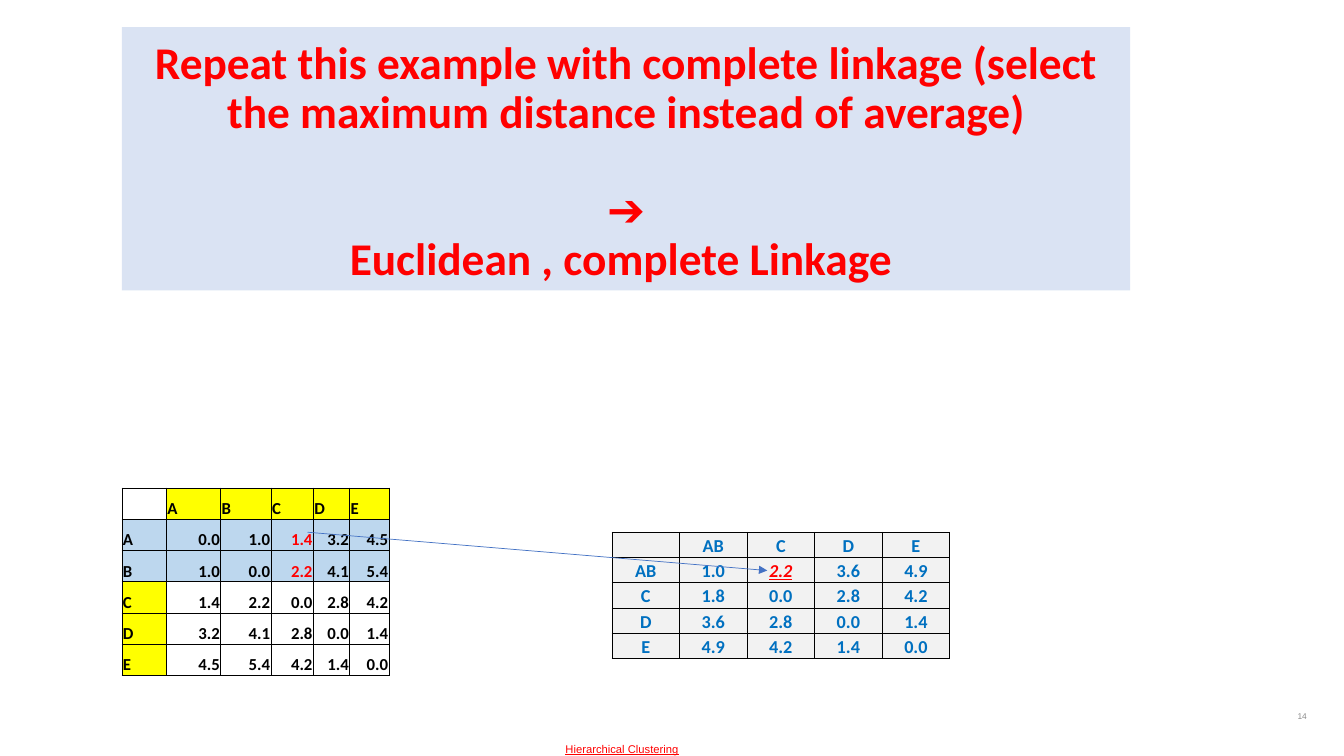
from lxml import etree
from pptx import Presentation
from pptx.dml.color import RGBColor
from pptx.enum.shapes import MSO_CONNECTOR
from pptx.enum.text import MSO_ANCHOR, PP_ALIGN
from pptx.oxml.ns import qn
from pptx.util import Inches, Pt

LEFT, MID, RIGHT = PP_ALIGN.LEFT, PP_ALIGN.CENTER, PP_ALIGN.RIGHT
BOTTOM, MIDDLE = MSO_ANCHOR.BOTTOM, MSO_ANCHOR.MIDDLE
STRAIGHT = MSO_CONNECTOR.STRAIGHT


class Theme:
    body, small = "Calibri", "Arial"
    title, dist, merged, foot, page = 32.4, 12, 13, 8, 6
    red, black, blue = "FF0000", "000000", "0070C0"
    banner, yellow, pale, gray = "DAE3F3", "FFFF00", "BDD7EE", "F2F2F2"
    arrow, dim = "4472C4", "8C8C8C"


def write(para, text, size, color, face, bold=False):
    run = para.add_run()
    run.text = text
    font = run.font
    font.name, font.size, font.bold = face, Pt(size), bold
    font.color.rgb = RGBColor.from_string(color)
    return font


def dress(cell, fill, size):
    """Set a cell's margins, thin black borders, fill and empty-text size."""
    cell.margin_left = cell.margin_right = cell.margin_top = Inches(0.01)
    cell.margin_bottom = 0
    cell.vertical_anchor = BOTTOM
    props = cell._tc.get_or_add_tcPr()
    for side in ("lnL", "lnR", "lnT", "lnB"):
        line = etree.SubElement(props, qn("a:" + side), w=str(Pt(0.5)))
        solid = etree.SubElement(line, qn("a:solidFill"))
        etree.SubElement(solid, qn("a:srgbClr"), val=Theme.black)
    if fill:
        cell.fill.solid()
        cell.fill.fore_color.rgb = RGBColor.from_string(fill)
    else:
        cell.fill.background()
    if not cell.text:
        para = cell.text_frame.paragraphs[0]._p
        etree.SubElement(para, qn("a:endParaRPr"), sz=str(size * 100))


deck = Presentation()
deck.slide_width, deck.slide_height = Inches(13.33), Inches(7.5)
slide = deck.slides.add_slide(deck.slide_layouts[6])
shapes = slide.shapes

# Title banner
banner = shapes.add_textbox(Inches(1.21), Inches(0.27), Inches(10), Inches(2.61))
banner.fill.solid()
banner.fill.fore_color.rgb = RGBColor.from_string(Theme.banner)
frame = banner.text_frame
frame.word_wrap = True
frame.vertical_anchor = BOTTOM
titles = [
    ("Repeat this example with complete linkage "
     "(select the maximum distance instead of average)", 0),
    ("➔", 35),
    ("Euclidean , complete Linkage ", 0),
]
for num, (text, gap) in enumerate(titles):
    para = frame.add_paragraph() if num else frame.paragraphs[0]
    para.alignment, para.line_spacing = MID, 0.9
    para.space_before = Pt(gap)
    write(para, text, Theme.title, Theme.red, Theme.body, True)

# Distance tables: first the points, then A and B merged
points = [
    ["", "A", "B", "C", "D", "E"],
    ["A", "0.0", "1.0", "1.4", "3.2", "4.5"],
    ["B", "1.0", "0.0", "2.2", "4.1", "5.4"],
    ["C", "1.4", "2.2", "0.0", "2.8", "4.2"],
    ["D", "3.2", "4.1", "2.8", "0.0", "1.4"],
    ["E", "4.5", "5.4", "4.2", "1.4", "0.0"],
]
merged = [
    ["", "AB", "C", "D", "E"],
    ["AB", "1.0", "2.2", "3.6", "4.9"],
    ["C", "1.8", "0.0", "2.8", "4.2"],
    ["D", "3.6", "2.8", "0.0", "1.4"],
    ["E", "4.9", "4.2", "1.4", "0.0"],
]
grids = [
    (points, 1.21, 4.84, [0.44, 0.54, 0.5, 0.42, 0.36, 0.39], 0.31,
     Theme.dist, Theme.black, {(1, 3), (2, 3)}),
    (merged, 6.07, 5.28, [0.67] * 5, 0.25,
     Theme.merged, Theme.blue, {(1, 2)}),
]
for data, left, top, cols, high, size, color, marks in grids:
    table = shapes.add_table(
        len(data), len(cols), Inches(left), Inches(top),
        Inches(sum(cols)), Inches(high * len(data))).table
    table.first_row = table.horz_banding = False
    for col, wide in zip(table.columns, cols):
        col.width = Inches(wide)
    for r, row in enumerate(data):
        table.rows[r].height = Inches(high)
        for c, text in enumerate(row):
            cell = table.cell(r, c)
            para = cell.text_frame.paragraphs[0]
            if data is merged:
                fill, para.alignment = Theme.gray, MID
            else:
                para.alignment = RIGHT if r and c else LEFT
                if r in (1, 2):
                    fill = Theme.pale
                else:
                    fill = Theme.yellow if text and not (r and c) else None
            if text:
                mark = (r, c) in marks
                tint = Theme.red if mark else color
                font = write(para, text, size, tint, Theme.body, True)
                if mark and data is merged:
                    font.italic = font.underline = True
            dress(cell, fill, size)

# Arrow from the larger pair to the merged value
arrow = shapes.add_connector(
    STRAIGHT, Inches(3.05), Inches(5.28), Inches(7.61), Inches(5.66))
arrow.line.color.rgb = RGBColor.from_string(Theme.arrow)
arrow.line.width = Pt(0.5)
etree.SubElement(arrow.line._get_or_add_ln(), qn("a:tailEnd"), type="triangle")
etree.SubElement(arrow._element.spPr, qn("a:effectLst"))

# Footer and page number
notes = [
    ("Hierarchical Clustering", 3.92, 7.23, 4.5, MID, Theme.foot, Theme.red),
    ("14", 10.06, 6.9, 3, RIGHT, Theme.page, Theme.dim),
]
for text, left, top, wide, align, size, color in notes:
    box = shapes.add_textbox(Inches(left), Inches(top), Inches(wide), Inches(0.4))
    frame = box.text_frame
    frame.word_wrap = True
    frame.vertical_anchor = MIDDLE
    para = frame.paragraphs[0]
    para.alignment = align
    font = write(para, text, size, color, Theme.small)
    font.underline = color == Theme.red

deck.save("out.pptx")
